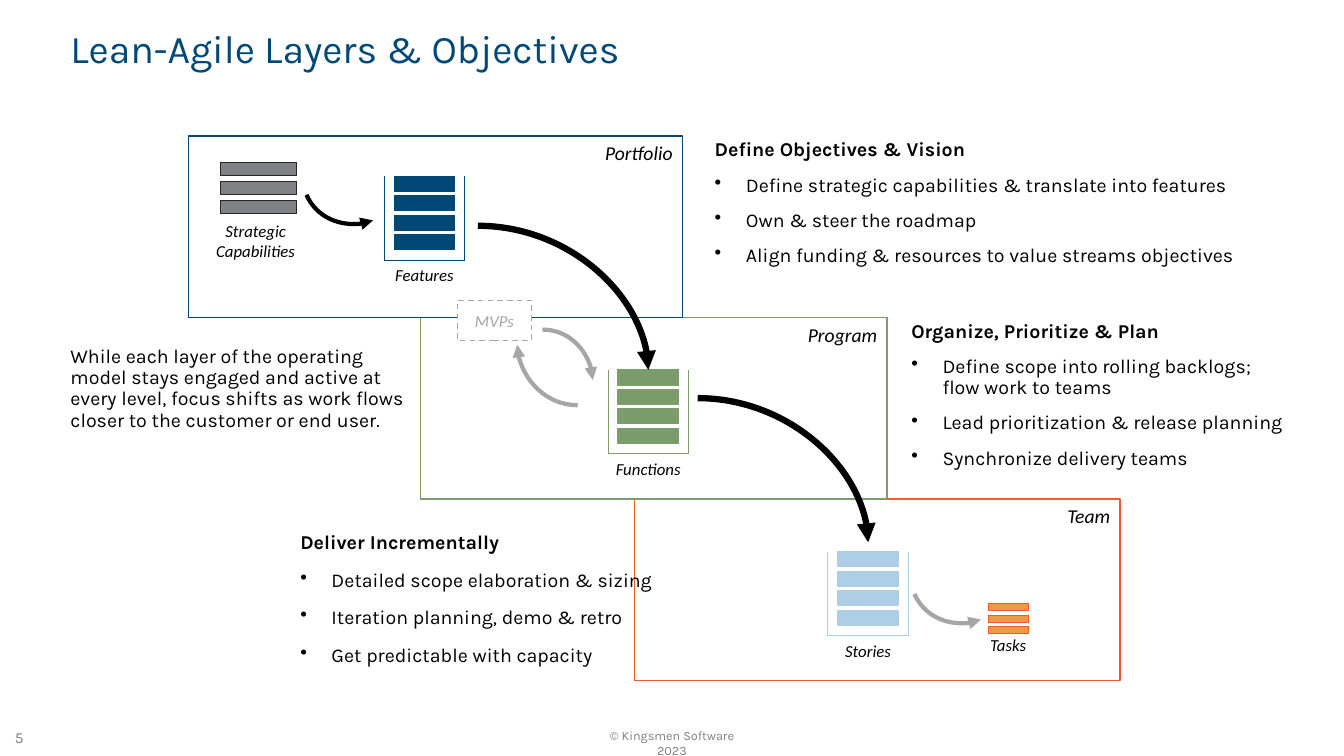
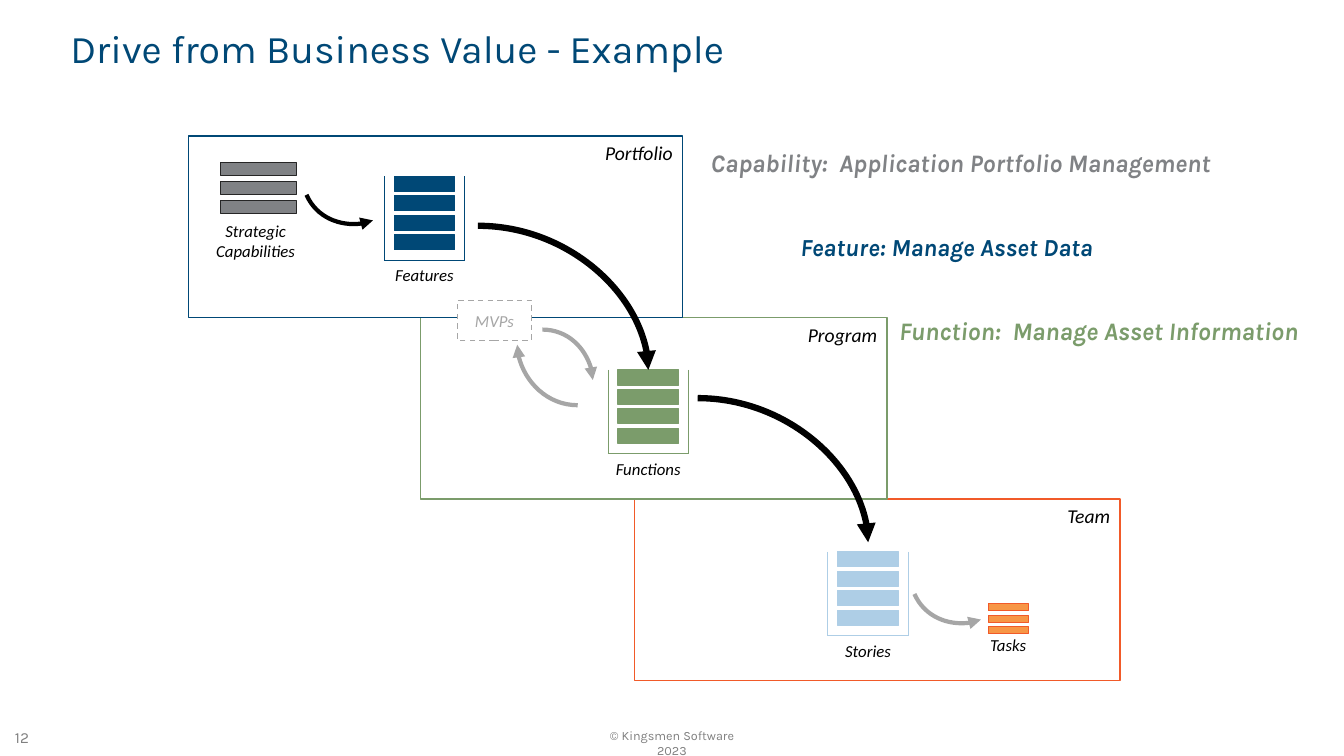
"""Build two slides on lean-agile layers over one shared flow diagram."""
from dataclasses import dataclass
from typing import Any

from lxml.etree import SubElement
from pptx import Presentation
from pptx.dml.color import RGBColor
from pptx.enum.dml import MSO_LINE
from pptx.enum.shapes import MSO_CONNECTOR, MSO_SHAPE
from pptx.enum.text import MSO_ANCHOR, PP_ALIGN
from pptx.oxml.ns import qn
from pptx.shapes.autoshape import Shape
from pptx.shapes.connector import Connector
from pptx.slide import Slide
from pptx.util import Inches, Pt

SLIDE_WIDTH, SLIDE_HEIGHT = Inches(13.33), Inches(7.5)
COLUMN, ROW = SLIDE_WIDTH / 133.3, SLIDE_HEIGHT / 75

BLACK = RGBColor(0x00, 0x00, 0x00)
WHITE = RGBColor(0xFF, 0xFF, 0xFF)
NAVY = RGBColor(0x00, 0x48, 0x76)
GREEN = RGBColor(0x7B, 0x9C, 0x6B)
SKY = RGBColor(0xAE, 0xCE, 0xE6)
ORANGE = RGBColor(0xF1, 0x5A, 0x29)
AMBER = RGBColor(0xF7, 0x96, 0x46)
SLATE = RGBColor(0x80, 0x82, 0x85)
CHARCOAL = RGBColor(0x26, 0x26, 0x26)
SILVER = RGBColor(0xA6, 0xA6, 0xA6)
FOOTER_GRAY = RGBColor(0x80, 0x80, 0x80)

TITLE = {"name": "Karla", "size": Pt(28), "color": NAVY}
BODY = {"name": "Karla", "size": Pt(14), "color": BLACK}
HEADING = BODY | {"bold": True}
CAPTION = {"name": "Calibri", "size": Pt(12), "color": BLACK, "italic": True}
LAYER_NAME = CAPTION | {"size": Pt(14)}
EXAMPLE = {"name": "Karla", "size": Pt(18), "bold": True, "italic": True}
COPYRIGHT = {"name": "Karla", "size": Pt(9), "color": FOOTER_GRAY}
PAGE_NUMBER = COPYRIGHT | {"size": Pt(11)}
CENTERED = {"alignment": PP_ALIGN.CENTER}
RIGHT = {"alignment": PP_ALIGN.RIGHT}
TIGHT = {"line_spacing": 0.9}


@dataclass(frozen=True)
class Box:
    """A rectangle in grid columns and rows."""
    left: float
    top: float
    width: float
    height: float


@dataclass(frozen=True)
class Layer:
    """A named panel of the operating model."""
    name: str
    box: Box
    color: RGBColor


@dataclass(frozen=True)
class Stack:
    """Equal bars with a caption below, in an open bin if wanted."""
    caption: str
    first_bar: Box
    step: float
    count: int
    fill: RGBColor
    outline: RGBColor
    caption_drop: float
    caption_width: float = 11
    caption_shift: float = 0
    in_bin: bool = False


@dataclass(frozen=True)
class Arrow:
    """A quarter-curve arrow, turned clockwise by some degrees."""
    box: Box
    color: RGBColor
    weight: float
    turn: int = 0
    flipped: bool = False


@dataclass(frozen=True)
class Objectives:
    """A heading with bullets below it."""
    box: Box
    heading: str
    bullets: tuple[str, ...]
    line_spacing: float = 0.9


@dataclass(frozen=True)
class Example:
    """One coloured line that names a work item."""
    text: str
    box: Box
    color: RGBColor
    size: float = 18


def bin_stack(caption: str, left: float, top: float, color: RGBColor) -> Stack:
    """Describe four bars that stand in an open bin."""
    return Stack(caption, Box(left, top, 6, 1.5), 1.93, 4, color, color, 8.3, in_bin=True)


LAYERS = (
    Layer("Team", Box(62.9, 49.5, 48.2, 18), ORANGE),
    Layer("Program", Box(41.7, 31.5, 46.3, 18), GREEN),
    Layer("Portfolio", Box(18.7, 13.5, 49, 18), NAVY),
)
STACKS = (
    Stack("Tasks", Box(98, 59.9, 4, 0.7), 1.15, 3, AMBER, ORANGE, 2.6),
    Stack("Strategic Capabilities", Box(21.9, 16.1, 7.5, 1.3), 1.9, 3, SLATE, CHARCOAL,
          5.3, 9.9, -0.3),
    bin_stack("Features", 39.1, 17.5, NAVY),
    bin_stack("Functions", 61.3, 36.7, GREEN),
    bin_stack("Stories", 83.1, 54.75, SKY),
)
ARROWS = (
    Arrow(Box(47.4, 22.4, 16.9, 14.3), BLACK, 4.5),
    Arrow(Box(53.8, 32.7, 5, 5), SILVER, 3),
    Arrow(Box(51.3, 34.2, 6, 6), SILVER, 3, 180),
    Arrow(Box(69.2, 39.5, 16.9, 14.3), BLACK, 4.5),
    Arrow(Box(91.5, 57.7, 5, 5), SILVER, 3, 66, True),
    Arrow(Box(31.2, 18.1, 5, 5), BLACK, 3, 66, True),
)
OBJECTIVES = (
    Objectives(Box(28.8, 52.1, 38.6, 13.3), "Deliver Incrementally", (
        "Detailed scope elaboration & sizing",
        "Iteration planning, demo & retro",
        "Get predictable with capacity"), 1.0),
    Objectives(Box(69.9, 13.4, 56, 13.3), "Define Objectives & Vision", (
        "Define strategic capabilities & translate into features",
        "Own & steer the roadmap",
        "Align funding & resources to value streams objectives")),
    Objectives(Box(89.4, 31.4, 39.3, 13.3), "Organize, Prioritize & Plan", (
        "Define scope into rolling backlogs; flow work to teams",
        "Lead prioritization & release planning",
        "Synchronize delivery teams")),
)
EXAMPLES = (
    Example("Function:  Manage Asset Information", Box(88.2, 30.8, 43.7, 4), GREEN),
    Example("Capability:  Application Portfolio Management", Box(69.5, 14.1, 54.2, 4), SLATE),
    Example("Feature: Manage Asset Data", Box(78.4, 22.5, 40.4, 4), NAVY, 17.5),
)


def apply_format(target: Any, values: dict[str, Any]) -> None:
    """Set each named attribute; a colour goes to the font's colour."""
    for name, value in values.items():
        if name == "color":
            target.color.rgb = value
        else:
            setattr(target, name, value)


def place(box: Box) -> tuple[int, int, int, int]:
    """Turn grid units into slide lengths."""
    return (round(box.left * COLUMN), round(box.top * ROW),
            round(box.width * COLUMN), round(box.height * ROW))


def write(shape: Shape, text: str, font: dict[str, Any], layout: dict[str, Any]) -> None:
    """Write the first paragraph of a shape."""
    shape.text_frame.word_wrap = True
    paragraph = shape.text_frame.paragraphs[0]
    paragraph.text = text
    apply_format(paragraph, layout)
    apply_format(paragraph.font, font)


def add_text(slide: Slide, box: Box, text: str, font: dict[str, Any],
             layout: dict[str, Any]) -> Shape:
    """Add a text box with one paragraph."""
    shape = slide.shapes.add_textbox(*place(box))
    write(shape, text, font, layout)
    return shape


def add_rectangle(slide: Slide, box: Box, fill: RGBColor, outline: RGBColor,
                  weight: float) -> Shape:
    """Add a filled and outlined rectangle."""
    shape = slide.shapes.add_shape(MSO_SHAPE.RECTANGLE, *place(box))
    shape.shadow.inherit = False
    shape.fill.solid()
    shape.fill.fore_color.rgb = fill
    shape.line.color.rgb = outline
    shape.line.width = Pt(weight)
    return shape


def add_line(slide: Slide, kind: MSO_CONNECTOR, box: Box, color: RGBColor,
             weight: float) -> Connector:
    """Add a connector across the box, without a shadow."""
    left, top, width, height = place(box)
    connector = slide.shapes.add_connector(kind, left, top, left + width, top + height)
    connector.line.color.rgb = color
    connector.line.width = Pt(weight)
    SubElement(connector.element.spPr, qn("a:effectLst"))
    return connector


def add_arrow(slide: Slide, arrow: Arrow) -> None:
    """Add a curved arrow with a triangle head."""
    connector = add_line(slide, MSO_CONNECTOR.CURVE, arrow.box, arrow.color, arrow.weight)
    properties = connector.element.spPr
    properties.find(qn("a:prstGeom")).set("prst", "curvedConnector2")
    transform = properties.find(qn("a:xfrm"))
    if arrow.turn:
        transform.set("rot", str(arrow.turn * 60000))
    if arrow.flipped:
        transform.set("flipV", "1")
    SubElement(properties.find(qn("a:ln")), qn("a:tailEnd"), type="triangle")


def add_layer(slide: Slide, layer: Layer) -> None:
    """Add a panel with its name in the top right corner."""
    add_rectangle(slide, layer.box, WHITE, layer.color, 1)
    name_width = 16.2
    name_left = layer.box.left + layer.box.width - name_width
    add_text(slide, Box(name_left, layer.box.top, name_width, 3.4), layer.name,
             LAYER_NAME, RIGHT)


def add_stack(slide: Slide, stack: Stack) -> None:
    """Add the bars, the bin walls and the caption of a stack."""
    bar = stack.first_bar
    for index in range(stack.count):
        bar_box = Box(bar.left, bar.top + index * stack.step, bar.width, bar.height)
        add_rectangle(slide, bar_box, stack.fill, stack.outline, 0.75)
    floor = bar.top + stack.caption_drop
    if stack.in_bin:
        left, width = bar.left - 1, bar.width + 2
        for wall in (Box(left, bar.top, 0, stack.caption_drop),
                     Box(left + width, bar.top, 0, stack.caption_drop),
                     Box(left, floor, width, 0)):
            add_line(slide, MSO_CONNECTOR.STRAIGHT, wall, stack.outline, 0.5)
    caption_left = bar.left + (bar.width - stack.caption_width) / 2 + stack.caption_shift
    add_text(slide, Box(caption_left, floor, stack.caption_width, 3), stack.caption,
             CAPTION, CENTERED)


def add_diagram(slide: Slide) -> None:
    """Add the layers, stacks and arrows of the operating model."""
    for layer in LAYERS:
        add_layer(slide, layer)
    releases = add_rectangle(slide, Box(45.4, 29.8, 7.3, 4), WHITE, SILVER, 1)
    releases.line.dash_style = MSO_LINE.DASH
    write(releases, "MVPs", CAPTION | {"color": SILVER}, CENTERED)
    for stack in STACKS:
        add_stack(slide, stack)
    for arrow in ARROWS:
        add_arrow(slide, arrow)


def add_objectives(slide: Slide, objectives: Objectives) -> None:
    """Add a heading and its bulleted list."""
    layout = {"line_spacing": objectives.line_spacing}
    shape = add_text(slide, objectives.box, objectives.heading, HEADING, layout)
    for text in objectives.bullets:
        paragraph = shape.text_frame.add_paragraph()
        paragraph.text = text
        properties = paragraph._p.get_or_add_pPr()
        properties.set("marL", str(Inches(0.31)))
        properties.set("indent", str(-Inches(0.31)))
        SubElement(properties, qn("a:buChar"), char="•")
        apply_format(paragraph, layout | {"space_before": Pt(10)})
        apply_format(paragraph.font, BODY)


def add_slide(presentation: Any, title: str, number: int) -> Slide:
    """Add a slide with footer, title and diagram."""
    slide = presentation.slides.add_slide(presentation.slide_layouts[6])
    add_text(slide, Box(58.8, 71.7, 15.7, 2.5), "© Kingsmen Software 2023", COPYRIGHT, CENTERED)
    add_text(slide, Box(0.5, 71.7, 4, 2.9), str(number), PAGE_NUMBER, {})
    heading = add_text(slide, Box(6, 2.2, 115, 5.7), title, TITLE, TIGHT)
    heading.text_frame.vertical_anchor = MSO_ANCHOR.MIDDLE
    add_diagram(slide)
    return slide


def main() -> None:
    """Build and save the presentation."""
    presentation = Presentation()
    apply_format(presentation, {"slide_width": SLIDE_WIDTH, "slide_height": SLIDE_HEIGHT})
    layers_slide = add_slide(presentation, "Lean-Agile Layers & Objectives", 5)
    add_text(layers_slide, Box(6, 33.9, 35.8, 13.3),
             "While each layer of the operating model stays engaged and active at every level, "
             "focus shifts as work flows closer to the customer or end user.", BODY, TIGHT)
    for objectives in OBJECTIVES:
        add_objectives(layers_slide, objectives)
    example_slide = add_slide(presentation, "Drive from Business Value - Example", 12)
    for example in EXAMPLES:
        font = EXAMPLE | {"color": example.color, "size": Pt(example.size)}
        add_text(example_slide, example.box, example.text, font, {})
    presentation.save("out.pptx")


if __name__ == "__main__":
    main()
